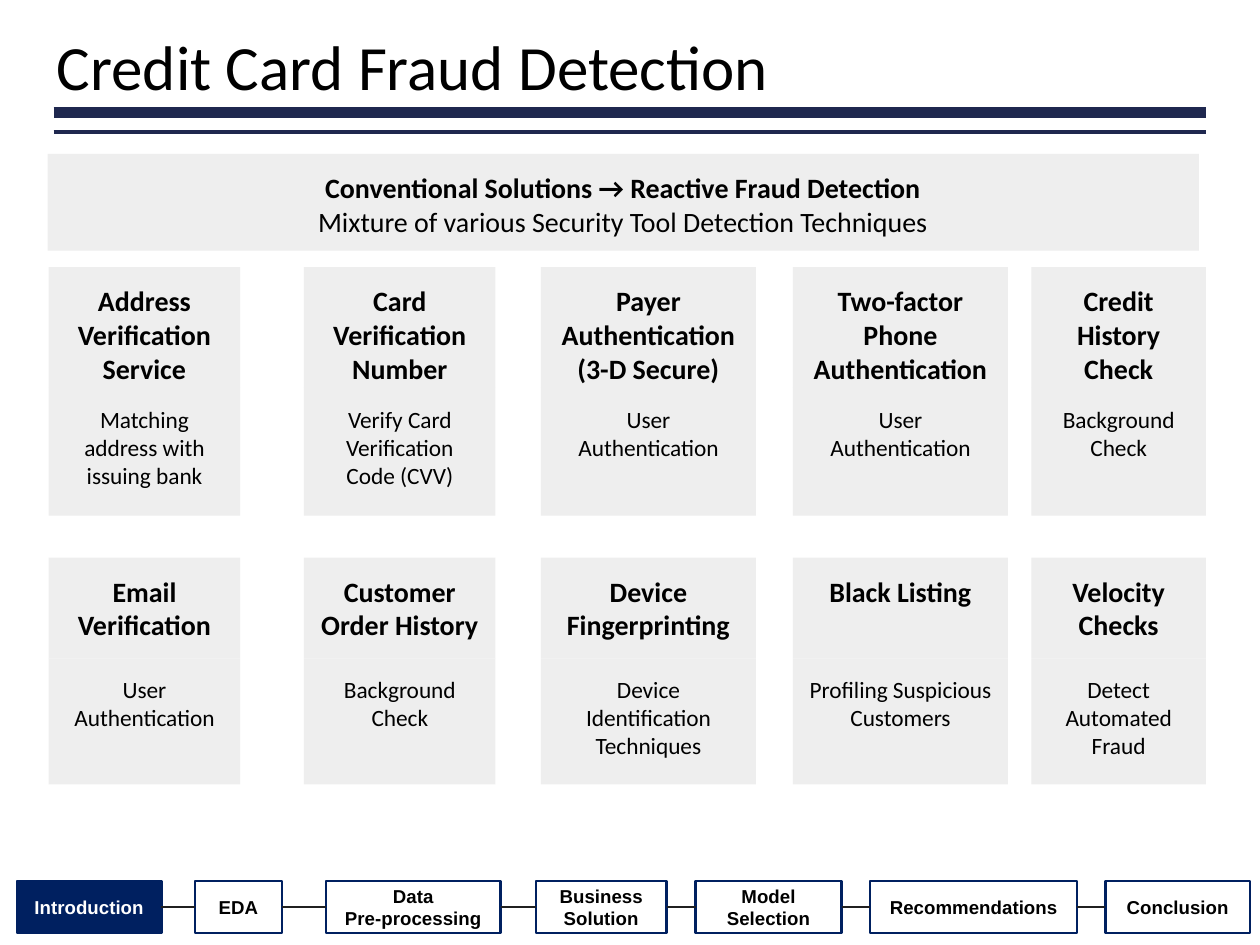
import pptx
import pptx.util
import pptx.dml.color
import pptx.enum.shapes
import pptx.enum.text
import pptx.oxml

Pt = pptx.util.Pt
ALIGN = pptx.enum.text.PP_ALIGN
ANCHOR = pptx.enum.text.MSO_ANCHOR
NAVY, RULE, GREY = "002060", "1F284F", "EEEEEE"

COLUMNS = [(20.9, 82.1), (130.3, 82.1), (231.8, 92.2), (339.8, 92.2), (442, 74.9)]
ROWS = [
    (114.5, 51.8, 54.7, [
        ("Address Verification Service", "Matching address with issuing bank"),
        ("Card Verification Number", "Verify Card Verification Code (CVV)"),
        ("Payer Authentication\n(3-D Secure)", "User Authentication"),
        ("Two-factor Phone Authentication", "User Authentication"),
        ("Credit History Check", "Background Check"),
    ]),
    (239, 43.2, 54, [
        ("Email Verification", "User Authentication"),
        ("Customer Order History", "Background Check"),
        ("Device Fingerprinting", "Device Identification Techniques"),
        ("Black Listing", "Profiling Suspicious Customers"),
        ("Velocity Checks", "Detect Automated Fraud"),
    ]),
]
STEPS = [
    ("Introduction", 7.2, 62),
    ("EDA", 83.5, 37.4),
    ("Data\nPre-processing", 139.7, 74.9),
    ("Business Solution", 229.7, 56),
    ("Model Selection", 298.1, 62.6),
    ("Recommendations", 373, 88.6),
    ("Conclusion", 473.8, 61.9),
]


def color(value):
    return pptx.dml.color.RGBColor.from_string(value)


def set_font(p, name, size, bold=False, ink="000000"):
    p.font.name = name
    p.font.size = Pt(size)
    p.font.bold = bold
    p.font.color.rgb = color(ink)


def add_box(s, x, y, w, h, text, fill, inset):
    sp = s.shapes.add_shape(pptx.enum.shapes.MSO_SHAPE.RECTANGLE, Pt(x), Pt(y), Pt(w), Pt(h))
    sp.shadow.inherit = False
    sp.fill.solid()
    sp.fill.fore_color.rgb = color(fill)
    sp.line.fill.background()
    tf = sp.text_frame
    tf.word_wrap = True
    tf.vertical_anchor = ANCHOR.TOP
    tf.margin_left = tf.margin_right = tf.margin_top = tf.margin_bottom = Pt(inset)
    tf.text = text
    for p in tf.paragraphs:
        p.alignment = ALIGN.CENTER
    return sp


def add_line(s, x1, y1, x2, y2, ink, width):
    line = s.shapes.add_connector(
        pptx.enum.shapes.MSO_CONNECTOR.STRAIGHT, Pt(x1), Pt(y1), Pt(x2), Pt(y2))
    line.line.color.rgb = color(ink)
    line.line.width = Pt(width)
    line._element.spPr.append(pptx.oxml.parse_xml(
        '<a:effectLst xmlns:a="http://schemas.openxmlformats.org/drawingml/2006/main"/>'))
    return line


def add_header(s, x, y, w):
    title = s.shapes.title
    title.left, title.top, title.width, title.height = Pt(x - 2.9), Pt(y), Pt(324), Pt(36.7)
    tf = title.text_frame
    tf.text = "Credit Card Fraud Detection"
    tf.auto_size = pptx.enum.text.MSO_AUTO_SIZE.NONE
    tf.vertical_anchor = ANCHOR.MIDDLE
    tf.margin_left = tf.margin_right = Pt(4.3)
    tf.margin_top = tf.margin_bottom = Pt(2.2)
    p = tf.paragraphs[0]
    p.alignment = ALIGN.LEFT
    p.line_spacing = 0.9
    set_font(p, "Calibri", 27)
    for drop, width in [(36.5, 4.5), (44.9, 1.5)]:
        add_line(s, x, y + drop, x + w, y + drop, RULE, width)


def add_banner(s, x, y, w, h):
    text = ("Conventional Solutions → Reactive Fraud Detection\n"
            "Mixture of various Security Tool Detection Techniques")
    sp = add_box(s, x, y, w, h, text, GREY, 7.2)
    for p, bold in zip(sp.text_frame.paragraphs, (True, False)):
        set_font(p, "Calibri", 12, bold)


def add_card(s, x, y, w, heading_h, detail_h, heading, detail):
    parts = [(y, heading_h, heading, 12, True),
             (y + heading_h, detail_h, detail, 10, False)]
    for top, h, text, size, bold in parts:
        sp = add_box(s, x, top, w, h, text, GREY, 7.2)
        for p in sp.text_frame.paragraphs:
            set_font(p, "Calibri", size, bold)


def add_navigation(s, y, h, current):
    previous = None
    for label, x, w in STEPS:
        active = label == current
        sp = add_box(s, x, y, w, h, label, NAVY if active else "FFFFFF", 4)
        sp.line.color.rgb = color(NAVY)
        sp.line.width = Pt(1)
        tf = sp.text_frame
        tf.vertical_anchor = ANCHOR.MIDDLE
        tf.margin_top = tf.margin_bottom = 0
        for p in tf.paragraphs:
            set_font(p, "Arial", 8, True, "FFFFFF" if active else "000000")
        if previous is not None:
            link = add_line(s, x, y + h / 2, x, y + h / 2, "202020", 0.75)
            link.begin_connect(previous, 3)
            link.end_connect(sp, 1)
        previous = sp


def main():
    prs = pptx.Presentation()
    prs.slide_width, prs.slide_height = Pt(540), Pt(405)
    s = prs.slides.add_slide(prs.slide_layouts[5])
    add_header(s, 23, 11.7, 494)
    add_banner(s, 20.4, 66, 493.4, 41.5)
    for y, heading_h, detail_h, cards in ROWS:
        for (x, w), (heading, detail) in zip(COLUMNS, cards):
            add_card(s, x, y, w, heading_h, detail_h, heading, detail)
    add_navigation(s, 377.5, 22.5, "Introduction")
    prs.save("out.pptx")


if __name__ == "__main__":
    main()
